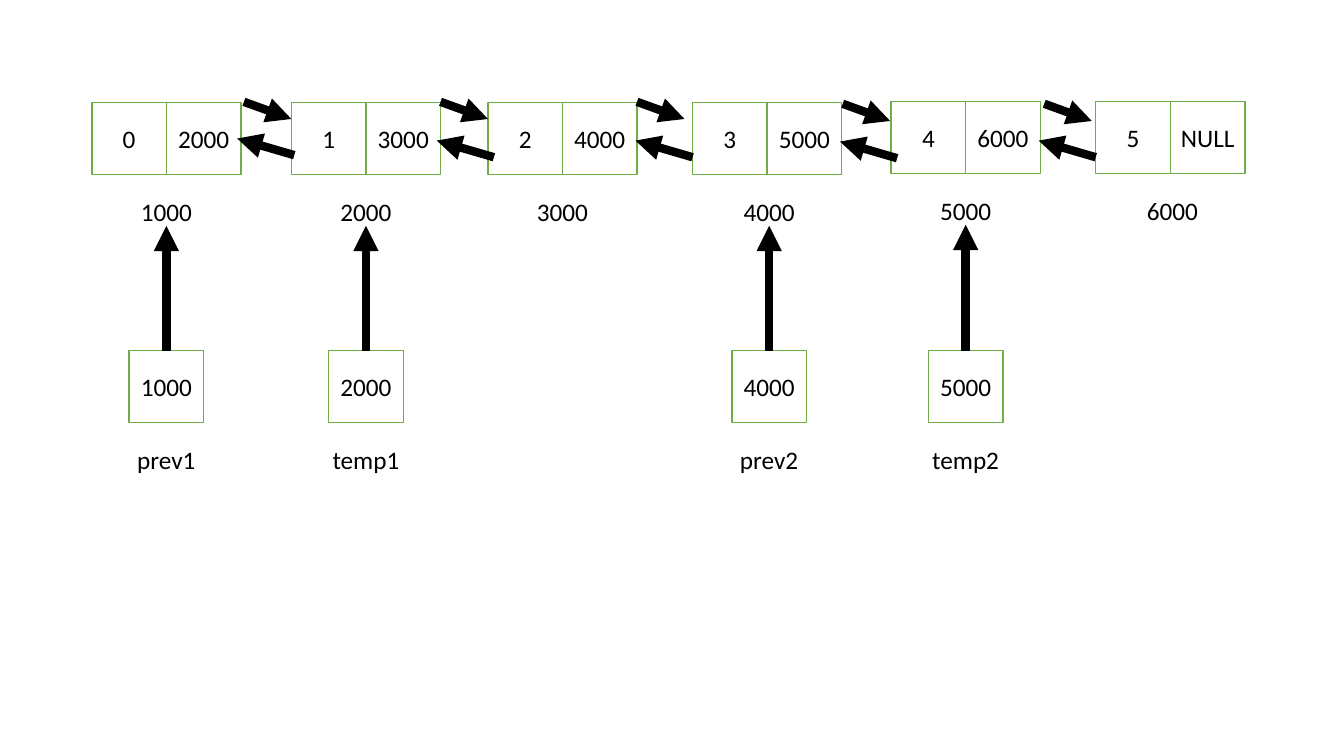
import pptx
import pptx.util
import pptx.dml.color
import pptx.enum.shapes
import pptx.enum.text
import pptx.oxml

HUES = {"ink": "000000", "edge": "70AD47", "fill": "FFFFFF"}
FONT = "Calibri"

# Grid: 100 columns by 100 rows over the slide
WIDE, HIGH = pptx.util.Inches(13.33), pptx.util.Inches(7.5)
CELL_W, CELL_H = 5.55, 9.47
TAG_W, TAG_H = 9.15, 3.87
TAG_GAP = 12.4            # top of a node to top of its address
BOX_TOP, NAME_TOP = 46.4, 58.8

# Left, top, value, next, address, tag centre, pointer name
NODES = [
    (6.83, 13.6, "0", "2000", "1000", 12.38, "prev1"),
    (21.68, 13.6, "1", "3000", "2000", 27.23, "temp1"),
    (36.3, 13.6, "2", "4000", "3000", 41.85, None),
    (51.53, 13.6, "3", "5000", "4000", 57.23, "prev2"),
    (66.3, 13.47, "4", "6000", "5000", 71.85, "temp2"),
    (81.53, 13.47, "5", "NULL", "6000", 87.23, None),
]

# Start points of the links between neighbours
NEXT = [(18.15, 13.47), (32.78, 13.47), (47.4, 13.47), (62.7, 13.73), (77.7, 13.73)]
BACK = [(21.9, 20.53), (36.75, 20.8), (51.53, 20.8), (66.75, 20.93), (81.53, 20.8)]
NEXT_STEP = (3.53, 2.27)
BACK_STEP = (-4.25, -2.2)


def col(n):
    return round(WIDE * n / 100)


def row(n):
    return round(HIGH * n / 100)


def hue(name):
    return pptx.dml.color.RGBColor.from_string(HUES[name])


def add_box(shapes, text, left, top, width, height, edge=True):
    """Rectangle with centred text."""
    box = shapes.add_shape(pptx.enum.shapes.MSO_SHAPE.RECTANGLE,
                           col(left), row(top), col(width), row(height))
    box.shadow.inherit = False
    box.fill.solid()
    box.fill.fore_color.rgb = hue("fill")
    if edge:
        box.line.color.rgb = hue("edge")
        box.line.width = pptx.util.Pt(1)
    else:
        box.line.fill.background()
    frame = box.text_frame
    frame.margin_left = frame.margin_right = 0
    frame.margin_top = frame.margin_bottom = 0
    frame.vertical_anchor = pptx.enum.text.MSO_ANCHOR.MIDDLE
    para = frame.paragraphs[0]
    para.alignment = pptx.enum.text.PP_ALIGN.CENTER
    run = para.add_run()
    run.text = text
    run.font.name = FONT
    run.font.size = pptx.util.Pt(18)
    run.font.color.rgb = hue("ink")


def add_tag(shapes, text, mid, top):
    """Label without an outline, centred on a column."""
    add_box(shapes, text, mid - TAG_W / 2, top, TAG_W, TAG_H, edge=False)


def add_node(shapes, left, top, value, link):
    """Group of two cells: value and next address."""
    group = shapes.add_group_shape()
    for i, text in enumerate((value, link)):
        add_box(group.shapes, text, left + i * CELL_W, top, CELL_W, CELL_H)


def add_arrow(shapes, x, y, dx, dy):
    line = shapes.add_connector(pptx.enum.shapes.MSO_CONNECTOR.STRAIGHT,
                                col(x), row(y), col(x + dx), row(y + dy))
    line.line.color.rgb = hue("ink")
    line.line.width = pptx.util.Pt(6)
    tip = pptx.oxml.parse_xml(
        '<a:tailEnd xmlns:a="http://schemas.openxmlformats.org/drawingml/2006/main"'
        ' type="triangle"/>')
    line.line._get_or_add_ln().append(tip)
    pptx.oxml.xmlchemy.OxmlElement("a:effectLst")
    line._element.spPr.append(pptx.oxml.xmlchemy.OxmlElement("a:effectLst"))


def main():
    deck = pptx.Presentation()
    deck.slide_width, deck.slide_height = WIDE, HIGH
    shapes = deck.slides.add_slide(deck.slide_layouts[6]).shapes

    # List nodes, their addresses and the pointer boxes
    for left, top, value, link, place, mid, name in NODES:
        add_node(shapes, left, top, value, link)
        add_tag(shapes, place, mid, top + TAG_GAP)
        if name:
            add_box(shapes, place, mid - CELL_W / 2, BOX_TOP, CELL_W, CELL_H)
            add_tag(shapes, name, mid, NAME_TOP)

    # Pointer arrows up to the addresses
    for left, top, value, link, place, mid, name in NODES:
        if name:
            add_arrow(shapes, mid, BOX_TOP, 0, top + TAG_GAP + TAG_H - BOX_TOP)

    # Links forward and back
    for starts, step in ((NEXT, NEXT_STEP), (BACK, BACK_STEP)):
        for x, y in starts:
            add_arrow(shapes, x, y, *step)

    deck.save("out.pptx")


if __name__ == "__main__":
    main()
